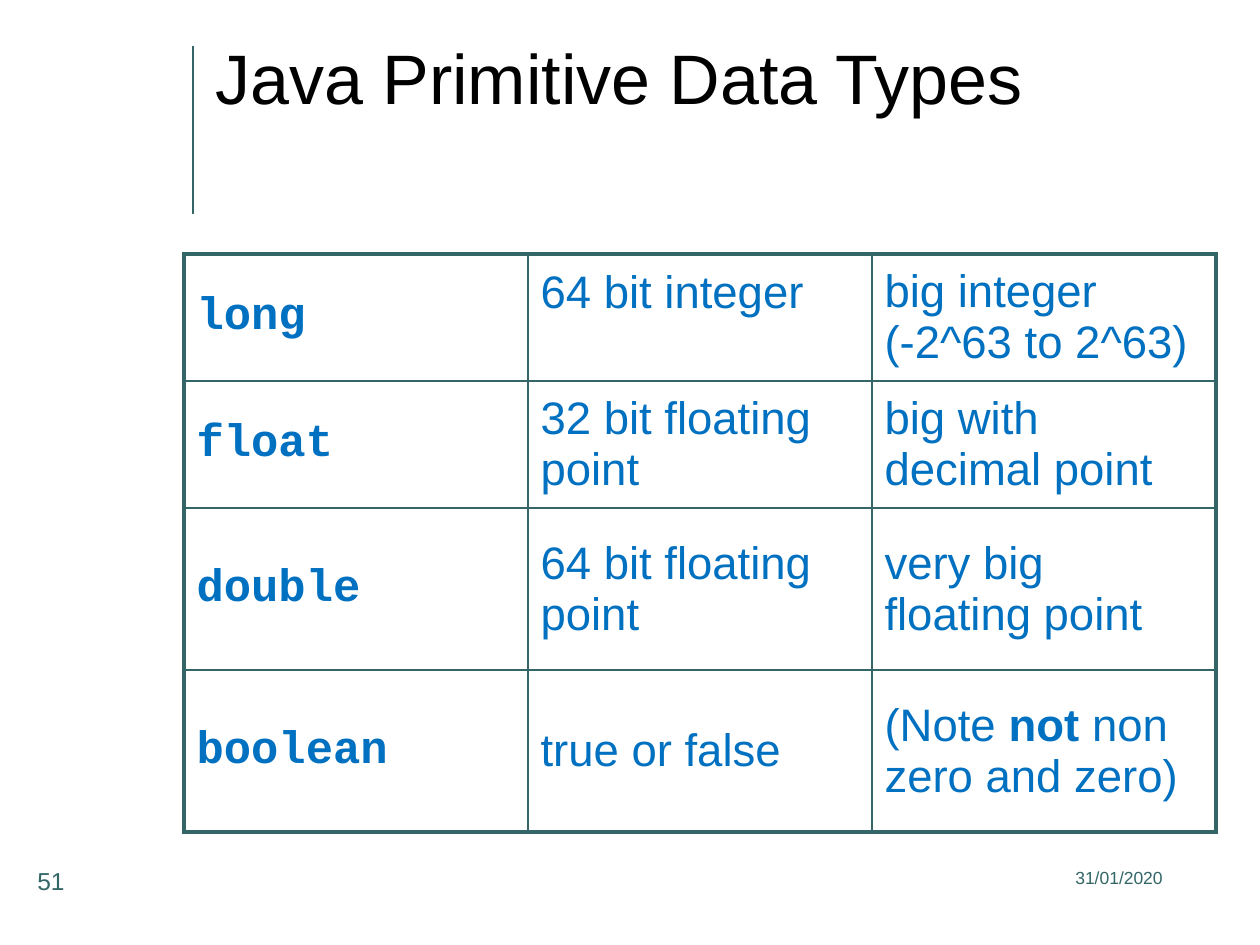
import lxml.etree
import pptx
import pptx.dml.color
import pptx.enum.shapes
import pptx.enum.text
import pptx.oxml.ns
import pptx.util

COLORS = {"teal": "336666", "blue": "0070C0", "black": "000000", "white": "FFFFFF"}
ANCHOR = pptx.enum.text.MSO_ANCHOR
ALIGN = pptx.enum.text.PP_ALIGN
qn = pptx.oxml.ns.qn


def px(n):
    return pptx.util.Emu(n * 914400 // 126)


def rgb(name):
    return pptx.dml.color.RGBColor.from_string(COLORS[name])


class SlideBuilder:
    body_font = "Arial"
    code_font = "Courier New"
    cell_size = 26
    inner_border = 1
    outer_border = 2.25

    def __init__(self, slide):
        self.slide = slide
        slide.background.fill.solid()
        slide.background.fill.fore_color.rgb = rgb("white")

    def style(self, r, size, color, font=None, bold=False):
        r.font.name = font or self.body_font
        r.font.size = pptx.util.Pt(size)
        r.font.bold = bold
        r.font.color.rgb = rgb(color)

    def text(self, box, text, size, color, align=ALIGN.LEFT, anchor=ANCHOR.TOP):
        tf = self.slide.shapes.add_textbox(*map(px, box)).text_frame
        tf.word_wrap = True
        tf.vertical_anchor = anchor
        tf.text = text
        p = tf.paragraphs[0]
        p.alignment = align
        self.style(p.runs[0], size, color)

    def line(self, start, end, color, width):
        c = self.slide.shapes.add_connector(
            pptx.enum.shapes.MSO_CONNECTOR.STRAIGHT, *map(px, start + end))
        c.line.color.rgb = rgb(color)
        c.line.width = pptx.util.Pt(width)
        lxml.etree.SubElement(c._element.spPr, qn("a:effectLst"))

    def borders(self, cell, outer_sides):
        tcPr = cell._tc.get_or_add_tcPr()
        for i, side in enumerate("LRTB"):
            width = self.outer_border if side in outer_sides else self.inner_border
            ln = lxml.etree.Element(qn("a:ln" + side), w=str(pptx.util.Pt(width)))
            fill = lxml.etree.SubElement(ln, qn("a:solidFill"))
            lxml.etree.SubElement(fill, qn("a:srgbClr"), val=COLORS["teal"])
            tcPr.insert(i, ln)

    def cell(self, cell, parts, code, outer_sides):
        cell.fill.background()
        cell.vertical_anchor = ANCHOR.MIDDLE
        p = cell.text_frame.paragraphs[0]
        p.text = parts[0]
        for part in parts[1:]:
            p.add_run().text = part
        for i, r in enumerate(p.runs):
            emphasis = len(parts) > 1 and i == 1
            self.style(r, self.cell_size, "blue",
                       self.code_font if code else None, code or emphasis)
        self.borders(cell, outer_sides)

    def table(self, left, top, col_width, heights, rows):
        n_rows, n_cols = len(rows), len(rows[0])
        table = self.slide.shapes.add_table(
            n_rows, n_cols, px(left), px(top),
            px(col_width * n_cols), px(sum(heights))).table
        table.first_row = table.horz_banding = False
        for col in table.columns:
            col.width = px(col_width)
        for i, row in enumerate(rows):
            table.rows[i].height = px(heights[i])
            for j, parts in enumerate(row):
                edges = {"L": j == 0, "R": j == n_cols - 1,
                         "T": i == 0, "B": i == n_rows - 1}
                self.cell(table.cell(i, j), parts, j == 0,
                          [side for side, outer in edges.items() if outer])
        return table


def main():
    prs = pptx.Presentation()
    prs.slide_width, prs.slide_height = px(1260), px(945)
    s = SlideBuilder(prs.slides.add_slide(prs.slide_layouts[6]))

    s.line((193, 46), (193, 214), "teal", 0.75)
    s.text((913, 861, 262, 63), "31/01/2020", 10, "teal", align=ALIGN.RIGHT)
    s.text((25, 860, 179, 63), "51", 14, "teal")
    s.text((203, 27, 892, 100), "Java Primitive Data Types", 40, "black",
           anchor=ANCHOR.MIDDLE)

    types = s.table(184, 254, 344, [127, 127, 162, 162], [
        [["long"], ["64 bit integer"], ["big integer\v(-2^63 to 2^63)"]],
        [["float"], ["32 bit floating point"], ["big with decimal point"]],
        [["double"], ["64 bit floating point"], ["very big floating point"]],
        [["boolean"], ["true or false"], ["(Note ", "not", " non zero and zero)"]],
    ])
    long_size = types.cell(0, 1)
    long_size.vertical_anchor = ANCHOR.TOP
    long_size.margin_top = px(13)

    prs.save("out.pptx")


if __name__ == "__main__":
    main()
